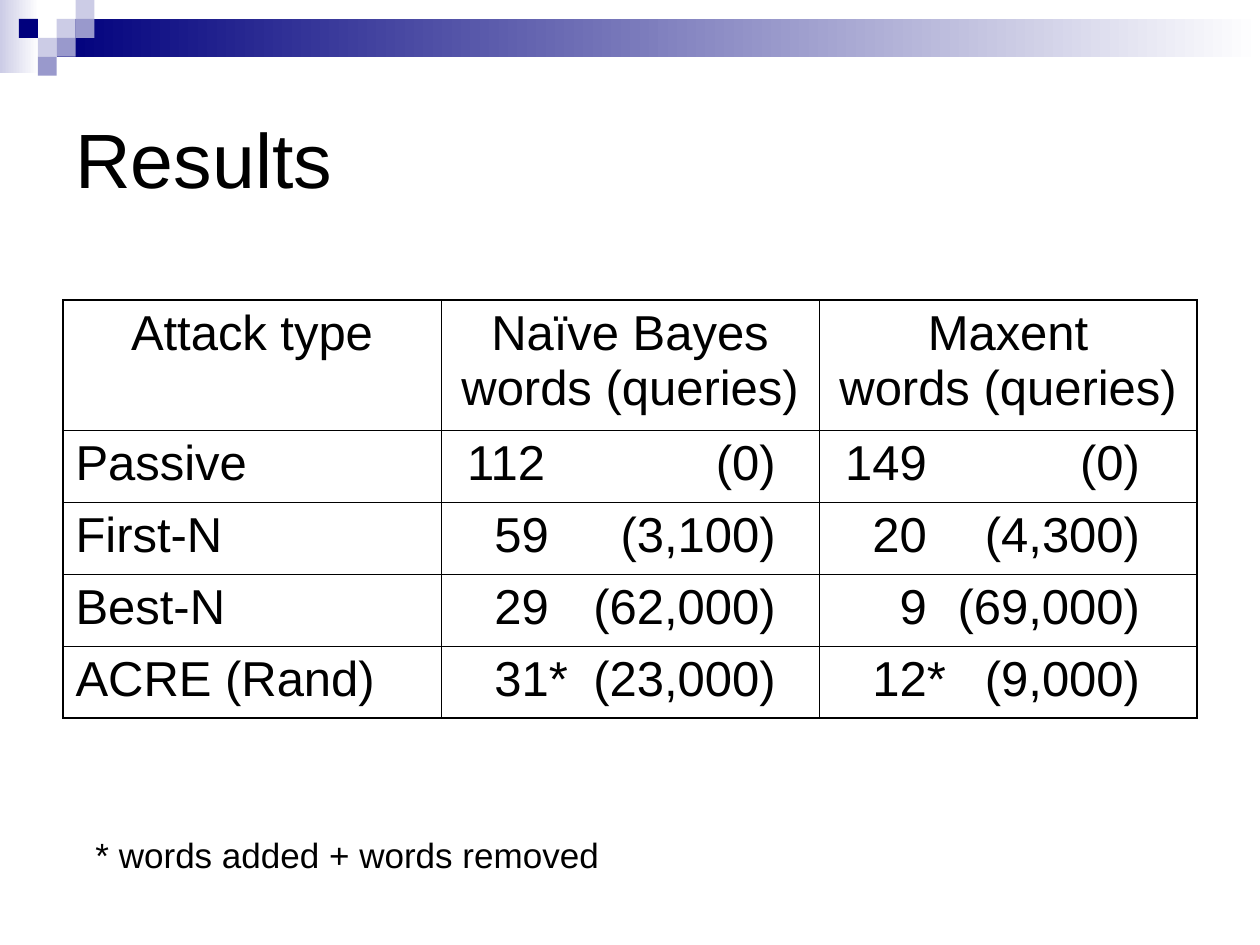
from lxml import etree
from pptx import Presentation
from pptx.dml.color import RGBColor
from pptx.enum.shapes import MSO_SHAPE
from pptx.enum.text import MSO_ANCHOR, PP_ALIGN
from pptx.oxml.ns import qn
from pptx.util import Pt

RECTANGLE = MSO_SHAPE.RECTANGLE
TOP, MIDDLE = MSO_ANCHOR.TOP, MSO_ANCHOR.MIDDLE
LEFT, CENTER = PP_ALIGN.LEFT, PP_ALIGN.CENTER

BLACK = RGBColor(0x00, 0x00, 0x00)
WHITE = RGBColor(0xFF, 0xFF, 0xFF)
NAVY = RGBColor(0x00, 0x00, 0x7D)
LAVENDER = RGBColor(0xCC, 0xCC, 0xE6)
PERIWINKLE = RGBColor(0x99, 0x99, 0xCC)

UNIT = 10.8        # side of one decorative square
SPACE = 7.78       # width of a space at table size; a digit is two spaces
OUTER, INNER = 1.08, 0.45

SQUARES = [        # column, row, colour
    (3, 1, LAVENDER), (4, 0, LAVENDER), (4, 1, PERIWINKLE), (2, 2, LAVENDER),
    (1, 1, NAVY), (3, 2, PERIWINKLE), (2, 3, PERIWINKLE),
]
HEADERS = ["Attack type", "Naïve Bayes\vwords (queries)", "Maxent\vwords (queries)"]
RESULTS = [        # attack, then (words, queries) for each classifier
    ("Passive", ("112", "(0)"), ("149", "(0)")),
    ("First-N", ("59", "(3,100)"), ("20", "(4,300)")),
    ("Best-N", ("29", "(62,000)"), ("9", "(69,000)")),
    ("ACRE (Rand)", ("31*", "(23,000)"), ("12*", "(9,000)")),
]
QUERY_EDGES = [184, 176.2]   # right edge of the queries in each column


class SlideBuilder:
    def __init__(self, page, font="Arial", color=BLACK):
        self.page, self.font, self.color = page, font, color

    def paragraph(self, para, text, size, **formats):
        para.text = text
        for name, value in formats.items():
            setattr(para, name, value)
        for span in para.runs:
            for name, value in {"name": self.font, "size": Pt(size)}.items():
                setattr(span.font, name, value)
            span.font.color.rgb = self.color

    def text(self, text, left, top, width, height, size, wrap=True, anchor=TOP):
        box = self.page.shapes.add_textbox(Pt(left), Pt(top), Pt(width), Pt(height))
        frame = box.text_frame
        for name, value in {"word_wrap": wrap, "vertical_anchor": anchor}.items():
            setattr(frame, name, value)
        self.paragraph(frame.paragraphs[0], text, size)

    def rectangle(self, left, top, width, height, color, fade=False):
        box = self.page.shapes.add_shape(
            RECTANGLE, Pt(left), Pt(top), Pt(width), Pt(height))
        box.shadow.inherit = False
        box.line.fill.background()
        if fade:
            box.fill.gradient()
            box.fill.gradient_angle = 180
            for stop, shade in zip(box.fill.gradient_stops, (WHITE, color)):
                stop.color.rgb = shade
        else:
            box.fill.solid()
            box.fill.fore_color.rgb = color

    def table(self, left, top, column_width, row_heights, columns):
        rows = len(row_heights)
        table = self.page.shapes.add_table(
            rows, columns, Pt(left), Pt(top),
            Pt(column_width * columns), Pt(sum(row_heights))).table
        table.first_row = table.horz_banding = False
        for column in table.columns:
            column.width = Pt(column_width)
        for row, height in zip(table.rows, row_heights):
            row.height = Pt(height)
        for r in range(rows):
            for c in range(columns):
                cell = table.cell(r, c)
                self.borders(cell, {"lnL": c == 0, "lnR": c == columns - 1,
                                    "lnT": r == 0, "lnB": r == rows - 1})
                cell.fill.background()
        return table

    def borders(self, cell, edges):
        properties = cell._tc.get_or_add_tcPr()
        for tag, is_outer in edges.items():
            width = Pt(OUTER if is_outer else INNER)
            line = etree.SubElement(properties, qn("a:" + tag), w=str(width))
            fill = etree.SubElement(line, qn("a:solidFill"))
            etree.SubElement(fill, qn("a:srgbClr"), val=str(self.color))

    def cell(self, cell, text, align=LEFT, tabs=()):
        para = cell.text_frame.paragraphs[0]
        self.paragraph(para, text, 28, alignment=align, space_before=Pt(7))
        if tabs:
            stops = etree.SubElement(para._p.get_or_add_pPr(), qn("a:tabLst"))
            for position, side in tabs:
                etree.SubElement(stops, qn("a:tab"), pos=str(Pt(position)), algn=side)


def main():
    deck = Presentation()
    deck.slide_width, deck.slide_height = Pt(720), Pt(540)
    builder = SlideBuilder(deck.slides.add_slide(deck.slide_layouts[6]))

    # Header band with its squares
    builder.rectangle(0, 0, 22.3, 41.8, LAVENDER, fade=True)
    builder.rectangle(3 * UNIT, UNIT, 720 - 3 * UNIT, 2 * UNIT, NAVY, fade=True)
    for column, row, color in SQUARES:
        builder.rectangle(column * UNIT, row * UNIT, UNIT, UNIT, color)

    # Title
    builder.text("Results", 36, 36, 648, 108, 44, anchor=MIDDLE)

    # Results table: words line up on their last digit, queries on the right
    table = builder.table(36, 171.4, 216, [74.4] + [41.1] * len(RESULTS), len(HEADERS))
    for c, header in enumerate(HEADERS):
        builder.cell(table.cell(0, c), header, CENTER)
    for r, (attack, *scores) in enumerate(RESULTS, 1):
        builder.cell(table.cell(r, 0), attack)
        for c, ((words, queries), edge) in enumerate(zip(scores, QUERY_EDGES), 1):
            indent = (7 - 2 * len(words.rstrip("*"))) * SPACE
            builder.cell(table.cell(r, c), f"\t{words}\t{queries}",
                         tabs=[(indent, "l"), (edge, "r")])

    # Footnote
    builder.text("* words added + words removed", 47.5, 473, 302.4, 31.7, 20, wrap=False)

    deck.save("out.pptx")


if __name__ == "__main__":
    main()
